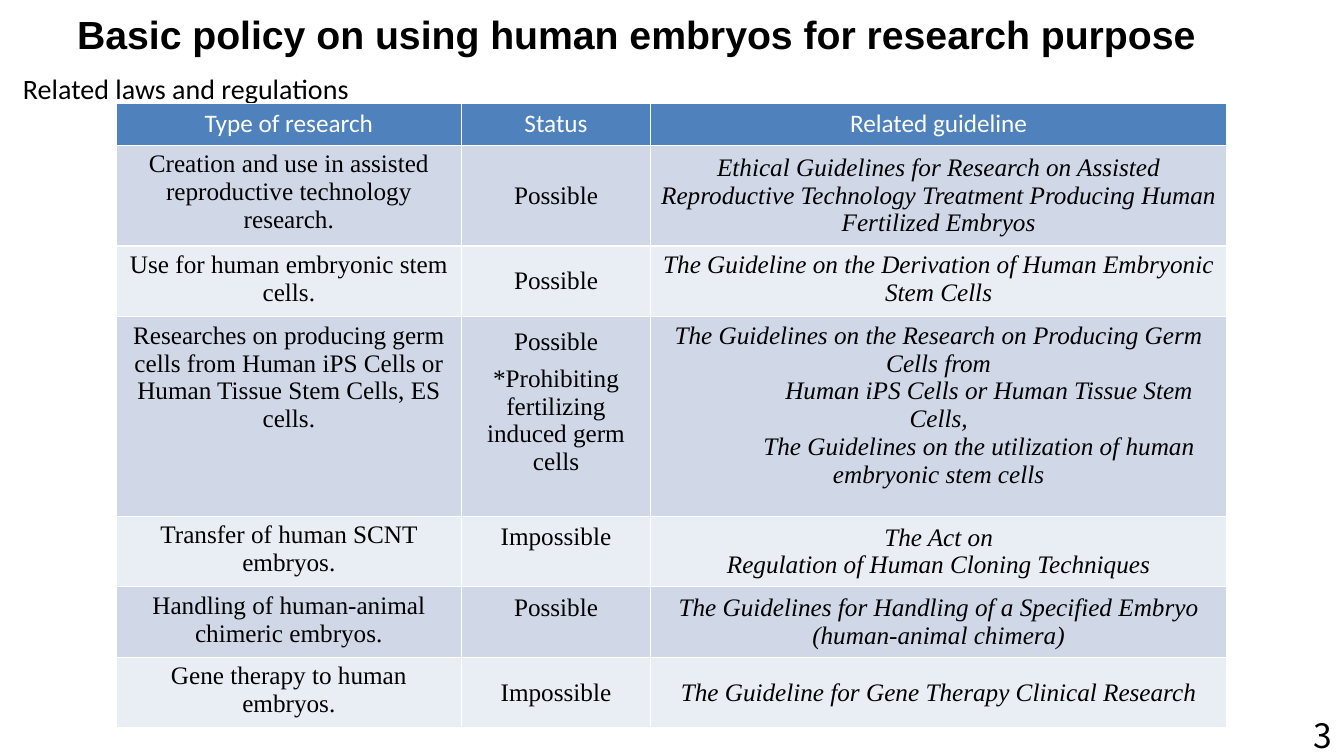
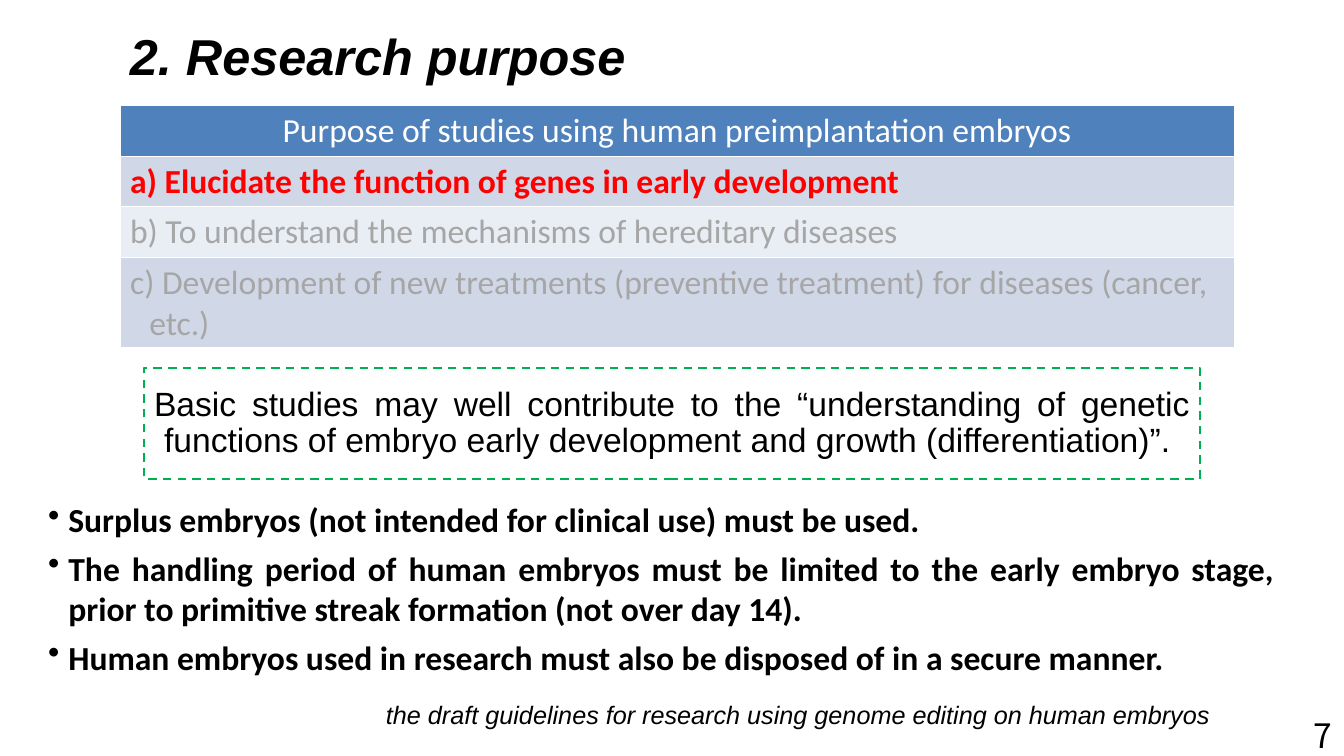
from pptx import Presentation
from pptx.dml.color import RGBColor
from pptx.enum.dml import MSO_LINE_DASH_STYLE as Dash
from pptx.enum.shapes import MSO_SHAPE
from pptx.enum.text import MSO_ANCHOR as Anchor, PP_ALIGN as Align
from pptx.oxml import parse_xml
from pptx.oxml.ns import nsdecls
from pptx.util import Inches, Pt


class Theme:
    BLACK, WHITE = "000000", "FFFFFF"
    HEADER, BANDS = "4F81BD", ("D0D8E8", "E9EDF4")
    HIGHLIGHT, MUTED, FRAME = "FF0000", "A6A6A6", "00B050"
    HEADING, BODY, SERIF = "Arial", "Calibri", "Times New Roman"
    NUMBER = "Noto Sans CJK SC"
    TITLE, SECTION, LARGE, LEAD, SMALL = 28, 36, 24, 20, 18


# Content: a guideline paragraph is (text, first-line indent)
POLICY_TITLE = "Basic policy on using human embryos for research purpose"
POLICY_LEAD = "Related laws and regulations"
POLICY_HEADER = ["Type of research", "Status", "Related guideline"]
POLICY_COLUMNS = [3.43, 1.87, 5.72]
# Research, status lines, guideline, row height, guideline anchor, space under status
POLICIES = [
    ("Creation and use in assisted reproductive technology research.", ["Possible"],
     [("Ethical Guidelines for Research on Assisted Reproductive Technology "
       "Treatment Producing Human Fertilized Embryos", 0)], 1.0, Anchor.MIDDLE, 0.05),
    ("Use for human embryonic stem cells.", ["Possible"],
     [("The Guideline on the Derivation of Human Embryonic Stem Cells", 0)],
     0.7, Anchor.TOP, 0.05),
    ("Researches on producing germ cells from Human iPS Cells or Human Tissue "
     "Stem Cells, ES cells.",
     ["Possible", "*Prohibiting fertilizing induced germ cells"],
     [("The Guidelines on the Research on Producing Germ Cells from", 0),
      ("Human iPS Cells or Human Tissue Stem Cells,", 1.0),
      ("The Guidelines on the utilization of human embryonic stem cells", 0.8)],
     1.98, Anchor.TOP, 0.33),
    ("Transfer of human SCNT embryos.", ["Impossible"],
     [("The Act on", 0), ("Regulation of Human Cloning Techniques", 0)],
     0.7, Anchor.MIDDLE, 0.33),
    ("Handling of human-animal chimeric embryos.", ["Possible"],
     [("The Guidelines for Handling of a Specified Embryo (human-animal chimera)", 0)],
     0.7, Anchor.MIDDLE, 0.33),
    ("Gene therapy to human embryos.", ["Impossible"],
     [("The Guideline for Gene Therapy Clinical Research", 0)],
     0.7, Anchor.MIDDLE, 0.05),
]

PURPOSE_TITLE = "2. Research purpose"
PURPOSE_HEADER = "Purpose of studies using human preimplantation embryos"
PURPOSES = [  # text, row height, highlighted
    ("a) Elucidate the function of genes in early development", 0.5, True),
    ("b) To understand the mechanisms of hereditary diseases", 0.5, False),
    ("c) Development of new treatments (preventive treatment) for diseases "
     "(cancer, etc.)", 0.9, False),
]
BASIC_STUDIES = ("Basic studies may well contribute to the “understanding of genetic "
                 "functions of embryo early development and growth (differentiation)”.")
CONDITIONS = [
    ("Surplus embryos (not intended for clinical use) must be used.", Align.LEFT),
    ("The handling period of human embryos must be limited to the early embryo stage, "
     "prior to primitive streak formation (not over day 14).", Align.JUSTIFY),
    ("Human embryos used in research must also be disposed of in a secure manner.",
     Align.LEFT),
]
GUIDELINE_NOTE = "the draft guidelines for research using genome editing on human embryos"


# Text helpers
def rgb(value):
    return RGBColor.from_string(value)


def write(frame, text, size, font=Theme.BODY, color=Theme.BLACK, bold=False, italic=False,
          align=Align.LEFT, before=0, spacing=None, margin=0, indent=0, bullet=None):
    """Add one paragraph, using the empty first one when there is no text yet."""
    first = not frame.paragraphs[0].runs
    paragraph = frame.paragraphs[0] if first else frame.add_paragraph()
    properties = paragraph._p.get_or_add_pPr()
    if margin or indent:
        properties.set("marL", str(Inches(margin)))
        properties.set("indent", str(Inches(indent)))
    if bullet:
        properties.append(parse_xml(f'<a:buChar {nsdecls("a")} char="{bullet}"/>'))
    paragraph.alignment = align
    if before and not first:
        paragraph.space_before = Pt(before)
    if spacing:
        paragraph.line_spacing = spacing
    run = paragraph.add_run()
    run.text = text
    run.font.size, run.font.name = Pt(size), font
    run.font.bold, run.font.italic = bold, italic
    run.font.color.rgb = rgb(color)


def text_area(slide, box, anchor=Anchor.TOP):
    frame = slide.shapes.add_textbox(*map(Inches, box)).text_frame
    frame.word_wrap = True
    frame.vertical_anchor = anchor
    return frame


# Shared slide parts
def new_slide(deck, number):
    slide = deck.slides.add_slide(deck.slide_layouts[6])
    write(text_area(slide, (12.17, 7.09, 1.14, 0.4), Anchor.MIDDLE), str(number),
          Theme.LARGE, Theme.NUMBER, align=Align.RIGHT)
    return slide


def banded_table(slide, left, top, columns, heights, header, size):
    """White-ruled table with a blue header and two alternating row colours."""
    table = slide.shapes.add_table(
        len(heights), len(columns),
        *map(Inches, (left, top, sum(columns), sum(heights)))).table
    table.first_row = table.horz_banding = False
    for column, width in zip(table.columns, columns):
        column.width = Inches(width)
    for r, height in enumerate(heights):
        table.rows[r].height = Inches(height)
        for cell in table.rows[r].cells:
            cell.fill.solid()
            cell.fill.fore_color.rgb = rgb(Theme.BANDS[(r - 1) % 2] if r else Theme.HEADER)
            for i, side in enumerate(("lnL", "lnR", "lnT", "lnB")):
                cell._tc.get_or_add_tcPr().insert(i, parse_xml(
                    f'<a:{side} {nsdecls("a")} w="{Pt(1)}"><a:solidFill>'
                    f'<a:srgbClr val="{Theme.WHITE}"/></a:solidFill></a:{side}>'))
    for cell, label in zip(table.rows[0].cells, header):
        write(cell.text_frame, label, size, color=Theme.WHITE, align=Align.CENTER)
    return table


# Slides
def policy_slide(deck):
    slide = new_slide(deck, 3)
    write(text_area(slide, (0.52, 0.05, 11.58, 0.57)), POLICY_TITLE, Theme.TITLE,
          Theme.HEADING, bold=True, align=Align.CENTER)
    write(text_area(slide, (0.13, 0.72, 4.8, 0.12)), POLICY_LEAD, Theme.LEAD,
          spacing=Pt(20))
    heights = [0.41] + [policy[3] for policy in POLICIES]
    table = banded_table(slide, 1.15, 1.03, POLICY_COLUMNS, heights, POLICY_HEADER,
                         Theme.SMALL)
    style = dict(size=Theme.SMALL, font=Theme.SERIF, align=Align.CENTER)
    for r, (research, statuses, guideline, _, anchor, under) in enumerate(POLICIES, 1):
        research_cell, status_cell, guideline_cell = table.rows[r].cells
        write(research_cell.text_frame, research, **style)
        status_cell.vertical_anchor = Anchor.MIDDLE
        status_cell.margin_bottom = Inches(under)
        for status in statuses:
            write(status_cell.text_frame, status, before=6, **style)
        guideline_cell.vertical_anchor = anchor
        for line, indent in guideline:
            write(guideline_cell.text_frame, line, italic=True, indent=indent, **style)


def purpose_slide(deck):
    slide = new_slide(deck, 7)
    write(text_area(slide, (1.19, 0.33, 7.48, 0.52), Anchor.MIDDLE), PURPOSE_TITLE,
          Theme.SECTION, Theme.HEADING, bold=True, italic=True, spacing=0.9)

    # Purposes
    heights = [0.5] + [height for _, height, _ in PURPOSES]
    table = banded_table(slide, 1.19, 1.05, [11.05], heights, [PURPOSE_HEADER],
                         Theme.LARGE)
    for r, (purpose, _, highlighted) in enumerate(PURPOSES, 1):
        write(table.cell(r, 0).text_frame, purpose, Theme.LARGE, bold=highlighted,
              color=Theme.HIGHLIGHT if highlighted else Theme.MUTED,
              margin=0.19, indent=-0.19)

    # Dashed statement
    statement = slide.shapes.add_shape(MSO_SHAPE.RECTANGLE,
                                       *map(Inches, (1.43, 3.65, 10.47, 1.1)))
    statement.shadow.inherit = False
    statement.fill.background()
    statement.line.color.rgb = rgb(Theme.FRAME)
    statement.line.width = Pt(1.5)
    statement.line.dash_style = Dash.DASH
    statement.text_frame.word_wrap = True
    statement.text_frame.vertical_anchor = Anchor.MIDDLE
    write(statement.text_frame, BASIC_STUDIES, Theme.LARGE, Theme.HEADING,
          align=Align.JUSTIFY, spacing=0.9, margin=0.1, indent=-0.1)

    # Conditions and note
    conditions = text_area(slide, (0.38, 4.9, 12.36, 1.88))
    for condition, align in CONDITIONS:
        write(conditions, condition, Theme.LARGE, bold=True, align=align, before=6,
              margin=0.2, indent=-0.2, bullet="•")
    write(text_area(slide, (3.73, 6.89, 9.16, 0.4)), GUIDELINE_NOTE, Theme.SMALL,
          Theme.HEADING, italic=True)


def main():
    deck = Presentation()
    deck.slide_width, deck.slide_height = Inches(13.33), Inches(7.5)
    policy_slide(deck)
    purpose_slide(deck)
    deck.save("out.pptx")


if __name__ == "__main__":
    main()
